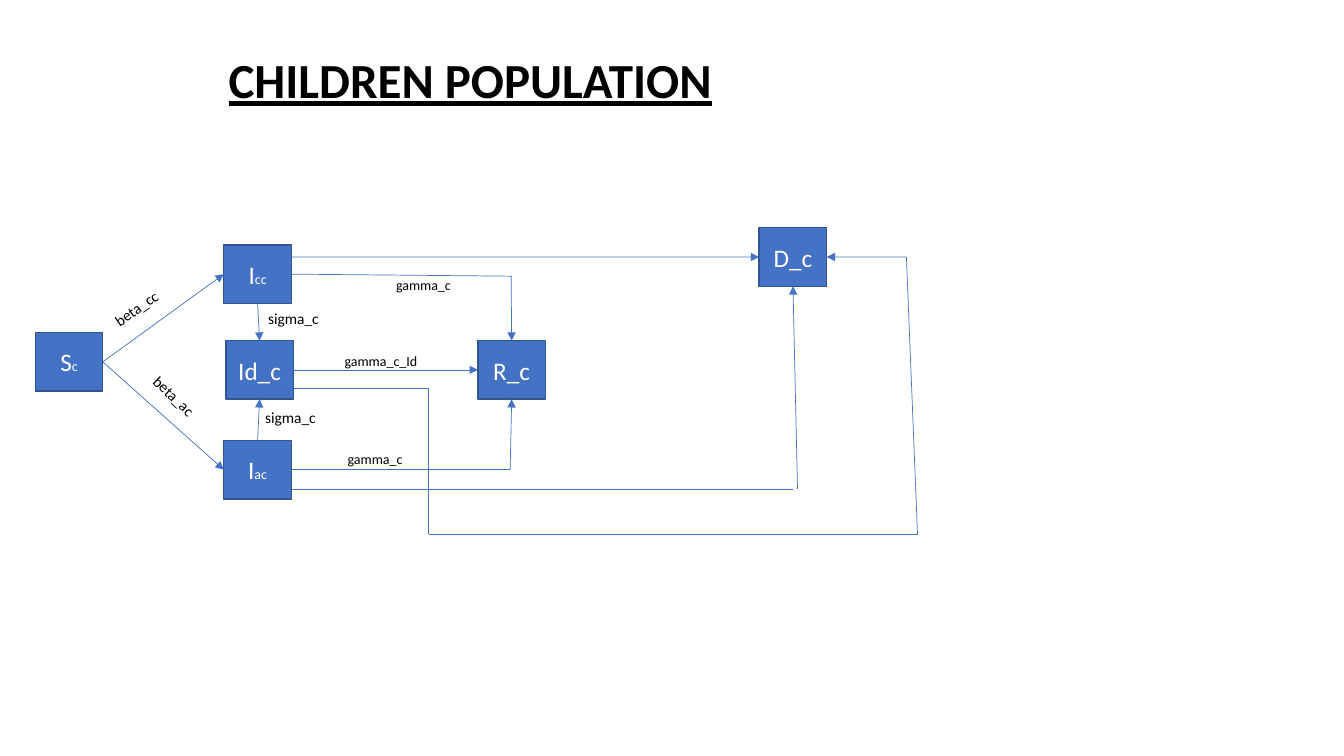
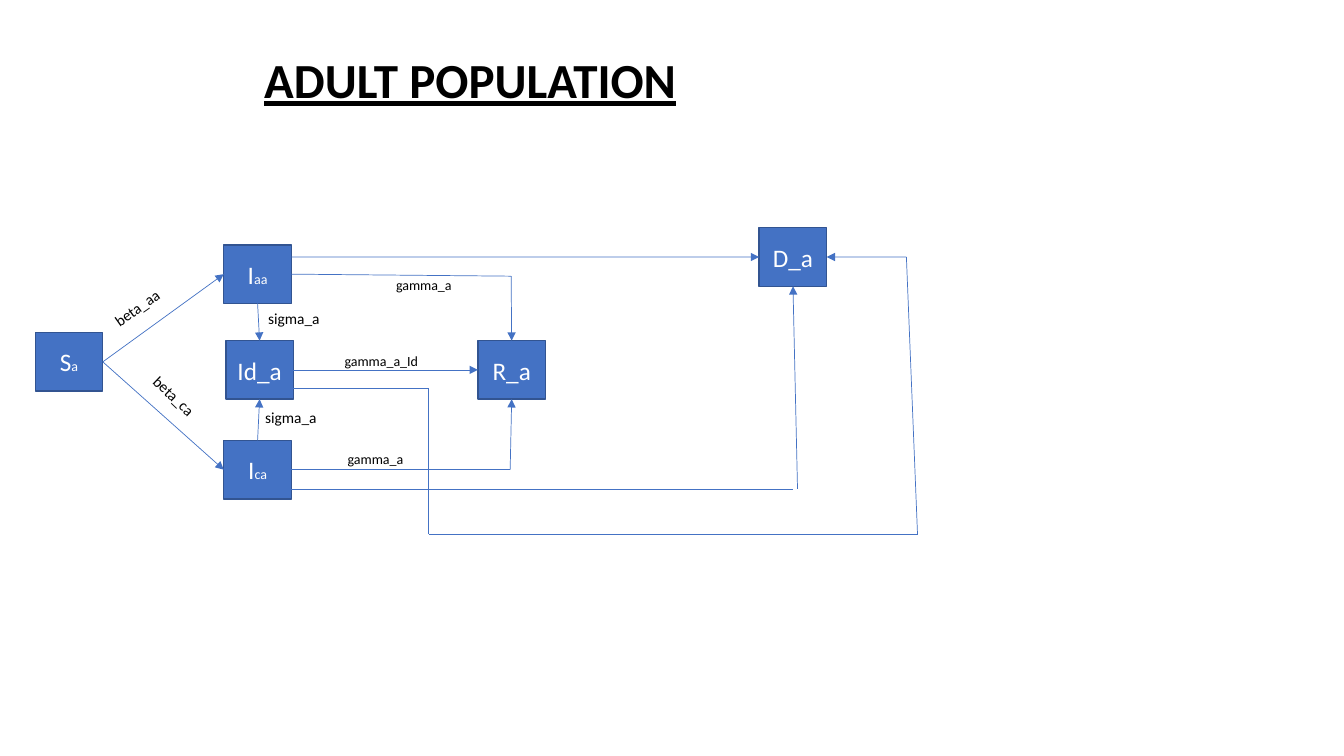
from dataclasses import dataclass
from itertools import pairwise

from lxml.etree import SubElement
from pptx import Presentation
from pptx.dml.color import RGBColor as RGB
from pptx.enum.shapes import MSO_CONNECTOR as Conn, MSO_SHAPE as Shape
from pptx.enum.text import MSO_ANCHOR as Anchor, MSO_AUTO_SIZE as AutoSize, PP_ALIGN as Align
from pptx.oxml.ns import qn
from pptx.util import Inches, Pt


@dataclass(frozen=True)
class Theme:
    """Colours, font, and type and line sizes shared by the slides."""
    font: str = "Calibri"
    fill: RGB = RGB(0x44, 0x72, 0xC4)
    edge: RGB = RGB(0x32, 0x54, 0x91)
    dark: RGB = RGB(0, 0, 0)
    light: RGB = RGB(0xFF, 0xFF, 0xFF)
    title: int = 35
    node: int = 18
    label: int = 11
    small: int = 10
    edge_width: float = 1
    arrow_width: float = 0.5


T = Theme()
NODE_W, NODE_H = 0.67, 0.58
TITLE_BOX = (0.23, 0.44, 8.87, 0.69)
DIAGRAM_AT = (0.35, 2.26)

NODES = {
    "S": (0, 1.04),
    "I_top": (1.87, 0.17),
    "D": (7.18, 0),
    "R": (4.39, 1.12),
    "I_low": (1.87, 2.11),
    "Id": (1.89, 1.12),
}

ROUTES = [
    [("S", 3), ("I_top", 1)],
    [("S", 3), ("I_low", 1)],
    [("I_top", 2), ("Id", 0)],
    [("I_low", 0), ("Id", 2)],
    [("Id", 3), ("R", 1)],
    [("I_top", 3), (4.72, 0.48), ("R", 0)],
    [("I_low", 3), (4.71, 2.4), ("R", 2)],
    [(4.71, 2.25), (4.72, 2.25)],
    [(2.54, 0.29), ("D", 1)],
    [(2.54, 2.59), (7.52, 2.59)],
    [(7.56, 2.59), ("D", 2)],
    [(2.56, 1.59), (3.9, 1.59), (3.9, 3.04), (8.75, 3.04), (8.64, 0.29), ("D", 3)],
]


def write(tf, *parts, size=T.label, color=T.dark, align=Align.LEFT, bold=None, underline=None):
    """Write (text, size) parts, or plain strings, as runs of one paragraph."""
    tf.word_wrap = True
    p = tf.paragraphs[0]
    p.alignment = align
    for part in parts:
        text, pts = (part, size) if isinstance(part, str) else part
        r = p.add_run()
        r.text = text
        f = r.font
        f.name, f.size, f.color.rgb = T.font, Pt(pts), color
        f.bold, f.underline = bold, underline


def add_title(s, text, box):
    """Place the underlined slide title in the box."""
    sp = s.shapes.title
    sp.left, sp.top, sp.width, sp.height = map(Inches, box)
    tf = sp.text_frame
    tf.auto_size, tf.vertical_anchor = AutoSize.NONE, Anchor.MIDDLE
    write(tf, text, size=T.title, align=Align.CENTER, bold=True, underline=True)


def add_node(s, x, y, *parts):
    """Add one compartment of the model."""
    sp = s.shapes.add_shape(Shape.RECTANGLE, *map(Inches, (x, y, NODE_W, NODE_H)))
    sp.shadow.inherit = False
    sp.fill.solid()
    sp.fill.fore_color.rgb = T.fill
    sp.line.color.rgb, sp.line.width = T.edge, Pt(T.edge_width)
    sp.text_frame.vertical_anchor = Anchor.MIDDLE
    write(sp.text_frame, *parts, size=T.node, color=T.light, align=Align.CENTER)
    return sp


def add_label(s, x, y, w, text, size=T.label, rotation=0):
    """Add the rate label of an arrow."""
    h = 0.29 if size == T.label else 0.27
    sp = s.shapes.add_textbox(*map(Inches, (x, y, w, h)))
    sp.rotation = rotation
    sp.text_frame.auto_size = AutoSize.SHAPE_TO_FIT_TEXT
    write(sp.text_frame, text, size=size)


def add_route(s, left, top, nodes, stops):
    """Join the stops by lines, with an arrowhead where the route meets a node."""
    def locate(stop):
        """Return the slide position of a point or of a node's side."""
        if stop[0] not in nodes:
            return Inches(left + stop[0]), Inches(top + stop[1])
        sp = nodes[stop[0]]
        dx, dy = ((0.5, 0), (0, 0.5), (0.5, 1), (1, 0.5))[stop[1]]
        return int(sp.left + dx * sp.width), int(sp.top + dy * sp.height)

    for start, end in pairwise(stops):
        c = s.shapes.add_connector(Conn.STRAIGHT, *locate(start), *locate(end))
        c.line.color.rgb, c.line.width = T.fill, Pt(T.arrow_width)
        if start[0] in nodes:
            c.begin_connect(nodes[start[0]], start[1])
        if end[0] in nodes:
            c.end_connect(nodes[end[0]], end[1])
            SubElement(c.line._get_or_add_ln(), qn("a:tailEnd"), type="triangle")
        SubElement(c._element.spPr, qn("a:effectLst"))


def add_diagram(s, left, top, own, other):
    """Draw the compartments, arrows and rates of one group from a top left corner."""
    texts = {
        "S": ["S", (own, T.small)],
        "I_top": ["I", (own * 2, T.small)],
        "D": [f"D_{own}"],
        "R": [f"R_{own}"],
        "I_low": ["I", (other + own, T.small)],
        "Id": [f"Id_{own}"],
    }
    nodes = {k: add_node(s, left + x, top + y, *texts[k]) for k, (x, y) in NODES.items()}
    for stops in ROUTES:
        add_route(s, left, top, nodes, stops)

    sigma, gamma = f"sigma_{own}", f"gamma_{own}"
    labels = [
        (0.66, 0.65, 0.71, f"beta_{own}{own}", T.label, 324.8),
        (1.02, 1.55, 0.76, f"beta_{other}{own}", T.label, 43.7),
        (2.21, 0.76, 0.91, sigma),
        (2.18, 1.74, 0.91, sigma),
        (3.48, 0.43, 0.76, gamma, T.small),
        (3, 2.16, 0.76, gamma, T.small),
        (2.97, 1.19, 0.96, f"{gamma}_Id", T.small),
    ]
    for x, y, *rest in labels:
        add_label(s, left + x, top + y, *rest)


def add_population(prs, title, own, other):
    """Add the slide of one population."""
    s = prs.slides.add_slide(prs.slide_layouts[5])
    add_title(s, title, TITLE_BOX)
    add_diagram(s, *DIAGRAM_AT, own, other)


def main():
    """Build and save the presentation."""
    prs = Presentation()
    prs.slide_width, prs.slide_height = Inches(13.33), Inches(7.5)
    add_population(prs, "CHILDREN POPULATION", "c", "a")
    add_population(prs, "ADULT POPULATION", "a", "c")
    prs.save("out.pptx")


if __name__ == "__main__":
    main()
